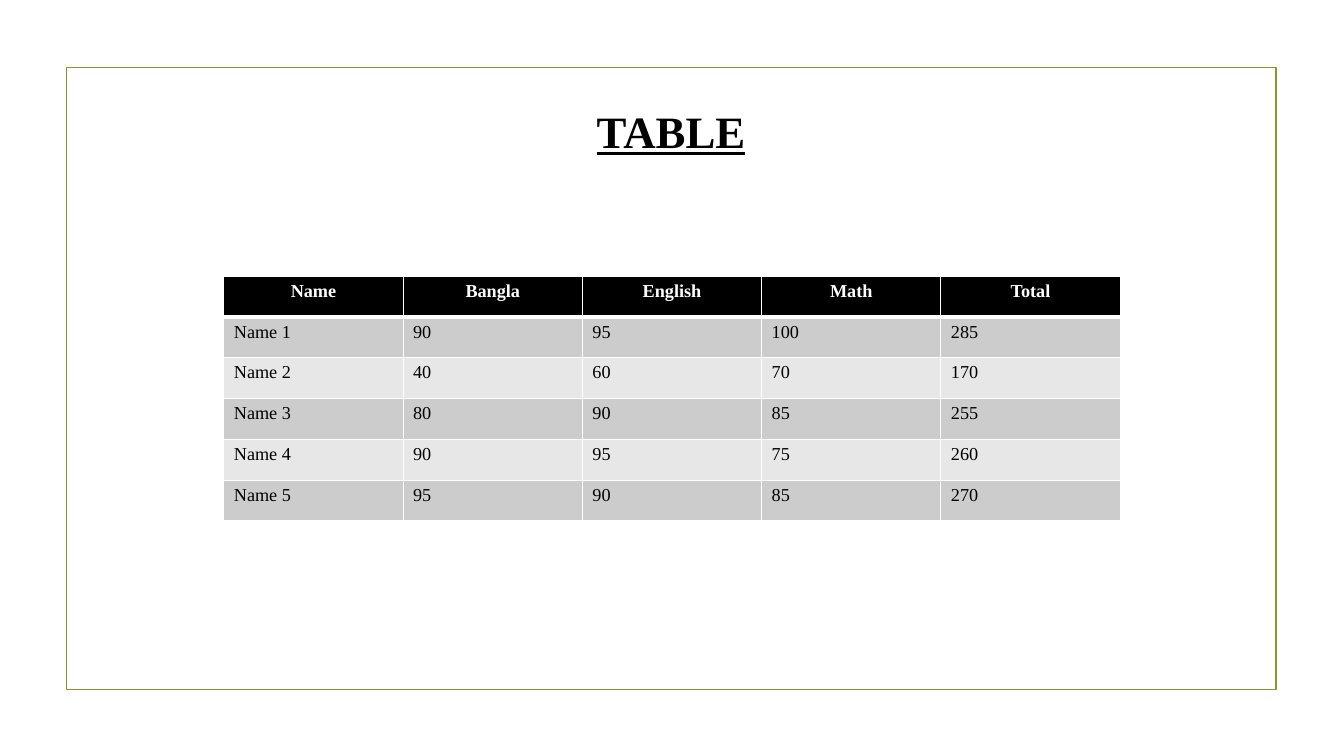
import pptx
import pptx.util
import pptx.dml.color
import pptx.enum.shapes
import pptx.enum.text
import lxml.etree
import pptx.oxml

Inches = pptx.util.Inches
Pt = pptx.util.Pt
RGBColor = pptx.dml.color.RGBColor
ALIGN = pptx.enum.text.PP_ALIGN

BLACK = RGBColor(0x00, 0x00, 0x00)
WHITE = RGBColor(0xFF, 0xFF, 0xFF)
GREEN = RGBColor(0x83, 0x99, 0x2A)
DARK = RGBColor(0xCC, 0xCC, 0xCC)
LIGHT = RGBColor(0xE7, 0xE7, 0xE7)
FONT = "Times New Roman"


def write(frame, text, size=13, color=BLACK, bold=False, line=False, align=ALIGN.LEFT):
    para = frame.paragraphs[0]
    para.alignment = align
    run = para.add_run()
    run.text = text
    run.font.name = FONT
    run.font.size = Pt(size)
    run.font.color.rgb = color
    run.font.bold = bold
    run.font.underline = line


def border(cell, side, width):
    props = cell._tc.get_or_add_tcPr()
    edge = lxml.etree.SubElement(props, pptx.oxml.ns.qn("a:ln" + side), w=str(Pt(width)))
    fill = lxml.etree.SubElement(edge, pptx.oxml.ns.qn("a:solidFill"))
    lxml.etree.SubElement(fill, pptx.oxml.ns.qn("a:srgbClr"), val=str(WHITE))


deck = pptx.Presentation()
deck.slide_width = Inches(13.33)
deck.slide_height = Inches(7.5)
slide = deck.slides.add_slide(deck.slide_layouts[6])

frame = slide.shapes.add_shape(
    pptx.enum.shapes.MSO_SHAPE.RECTANGLE, Inches(0.66), Inches(0.67), Inches(12), Inches(6.17))
frame.shadow.inherit = False
frame.fill.background()
frame.line.color.rgb = GREEN
frame.line.width = Pt(1.25)

title = slide.shapes.add_textbox(Inches(5.82), Inches(0.98), Inches(1.69), Inches(0.64))
title.text_frame.word_wrap = False
title.text_frame.auto_size = pptx.enum.text.MSO_AUTO_SIZE.SHAPE_TO_FIT_TEXT
write(title.text_frame, "TABLE", size=32, bold=True, line=True)

heads = ["Name", "Bangla", "English", "Math", "Total"]
marks = [(90, 95, 100), (40, 60, 70), (80, 90, 85), (90, 95, 75), (95, 90, 85)]
rows = [heads]
for num, mark in enumerate(marks, 1):
    rows.append([f"Name {num}", *mark, sum(mark)])

table = slide.shapes.add_table(
    len(rows), len(heads), Inches(2.22), Inches(2.74), Inches(8.89), Inches(2.43)).table

for r, row in enumerate(rows):
    head = r == 0
    for c, text in enumerate(row):
        cell = table.cell(r, c)
        for side in "LRTB":
            thick = (head and side == "B") or (r == 1 and side == "T")
            border(cell, side, 3 if thick else 1)
        cell.fill.solid()
        if head:
            cell.fill.fore_color.rgb = BLACK
            write(cell.text_frame, text, color=WHITE, bold=True, align=ALIGN.CENTER)
        else:
            cell.fill.fore_color.rgb = DARK if r % 2 else LIGHT
            write(cell.text_frame, str(text))

deck.save("out.pptx")
